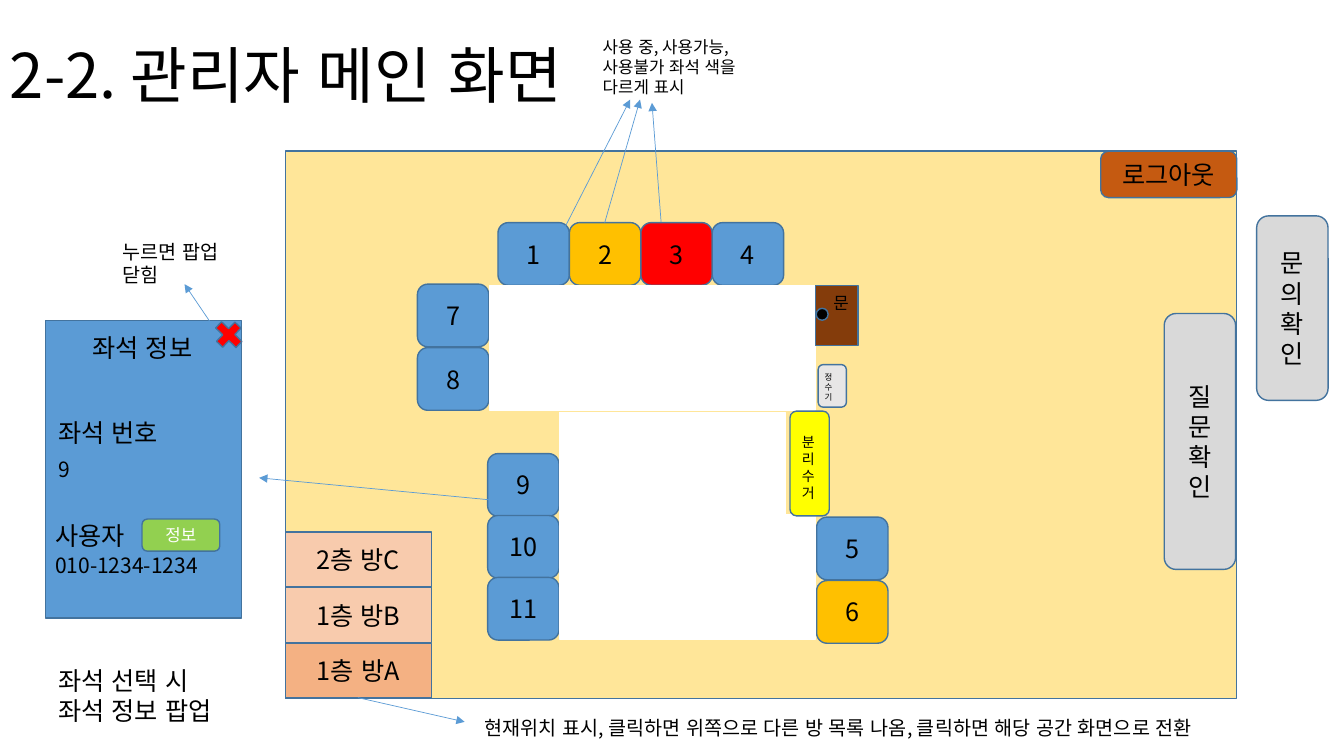
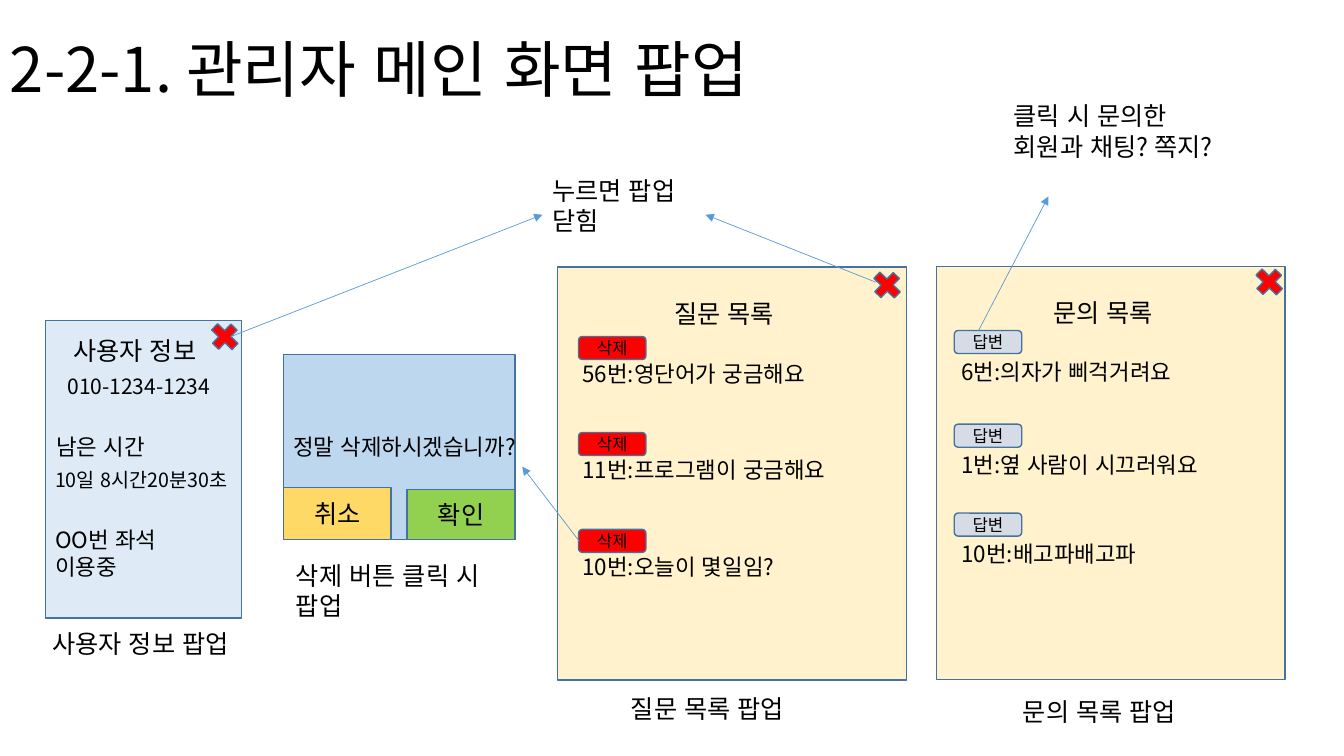
from dataclasses import dataclass

from lxml import etree
from pptx import Presentation
from pptx import util as u
from pptx.dml import color
from pptx.enum import lang, shapes, text
from pptx.oxml import ns

Cm, Pt = u.Cm, u.Pt
KIND = shapes.MSO_SHAPE


@dataclass(frozen=True)
class Theme:
    font: str = "Noto Sans CJK KR"
    # Type sizes
    title: int = 44
    body: int = 18
    item: int = 16
    phone: int = 15
    note: int = 14
    small: int = 12
    mini: int = 10
    tiny: int = 6
    # Colours
    ink: str = "000000"
    white: str = "FFFFFF"
    outline: str = "43739E"
    blue: str = "5B9BD5"
    pale_blue: str = "DEEBF7"
    dialog_blue: str = "BDD7EE"
    amber: str = "FFC000"
    red: str = "FF0000"
    green: str = "92D050"
    gold: str = "FFD966"
    sand: str = "FFE699"
    cream: str = "FFF2CC"
    yellow: str = "FFFF00"
    rust: str = "C55A11"
    brown: str = "843C0B"
    peach: str = "F8CBAD"
    orange: str = "F4B183"
    grey: str = "D9D9D9"
    light_grey: str = "E7E6E6"
    steel: str = "D6DCE5"


T = Theme()
CARD = (1.14, 8.08, 4.95, 7.49)
SEAT = (1.8, 1.58)


def rgb(value):
    return color.RGBColor.from_string(value)


# Element helpers: every box is left, top, width, height in centimetres

def write(frame, words, size, ink=T.ink, align=None):
    frame.word_wrap = True
    frame.text = words
    for paragraph in frame.paragraphs:
        paragraph.alignment = align
        for run in paragraph.runs:
            font = run.font
            font.size = Pt(size)
            font.color.rgb = rgb(ink)
            font.language_id = lang.MSO_LANGUAGE_ID.KOREAN
            font.name = T.font
            east_asian = etree.SubElement(run._r.get_or_add_rPr(), ns.qn("a:ea"))
            east_asian.set("typeface", T.font)


def label(slide, box, words, size=T.body):
    frame = slide.shapes.add_textbox(*map(Cm, box)).text_frame
    frame.auto_size = text.MSO_AUTO_SIZE.SHAPE_TO_FIT_TEXT
    write(frame, words, size)


def block(slide, box, fill, words="", size=T.body, kind=KIND.RECTANGLE,
          ink=T.ink, outline=T.outline):
    panel = slide.shapes.add_shape(kind, *map(Cm, box))
    panel.shadow.inherit = False
    panel.fill.solid()
    panel.fill.fore_color.rgb = rgb(fill)
    panel.line.color.rgb = rgb(outline)
    panel.line.width = Pt(1)
    if words:
        write(panel.text_frame, words, size, ink, text.PP_ALIGN.CENTER)
    return panel


def button(slide, box, fill, words="", size=T.body, ink=T.ink):
    block(slide, box, fill, words, size, KIND.ROUNDED_RECTANGLE, ink)


def close_mark(slide, left, top):
    cross = block(slide, (left, top, 0.97, 0.91), T.red, kind=KIND.MATH_PLUS)
    cross.rotation = 43.9


def arrow(slide, start, end):
    link = slide.shapes.add_connector(
        shapes.MSO_CONNECTOR.STRAIGHT, *map(Cm, start + end))
    link.line.color.rgb = rgb(T.blue)
    link.line.width = Pt(0.5)
    head = etree.SubElement(link.line._get_or_add_ln(), ns.qn("a:tailEnd"))
    head.set("type", "triangle")
    etree.SubElement(link._element.spPr, ns.qn("a:effectLst"))


def titled_slide(deck, words, top):
    slide = deck.slides.add_slide(deck.slide_layouts[6])
    title = slide.shapes.add_textbox(Cm(0), Cm(top), Cm(29.21), Cm(3.68))
    title.text_frame.vertical_anchor = text.MSO_ANCHOR.MIDDLE
    write(title.text_frame, words, T.title)
    title.text_frame.paragraphs[0].line_spacing = 0.9
    return slide


def seat_group(slide, left, top, numbers, step_x=0, step_y=0):
    special = {2: T.amber, 3: T.red, 6: T.amber}
    for i, number in enumerate(numbers):
        box = (left + i * step_x, top + i * step_y, *SEAT)
        button(slide, box, special.get(number, T.blue), str(number))


def list_popup(slide, left, top, heading, action, fill, inset, drop, entries):
    block(slide, (left, top, 8.79, 10.41), T.cream)
    label(slide, (left + 2.69, top + 0.66, 3.4, 1.02), heading)
    for row, entry in entries:
        label(slide, (left + 0.38, row + drop, 7.24, 0.94), entry, T.item)
        button(slide, (left + inset, row, 1.7, 0.58), fill, action, T.small)


# Slide contents

def seat_map(slide):
    block(slide, (7.19, 3.81, 23.98, 13.79), T.sand)
    seat_group(slide, 12.55, 5.61, range(1, 5), step_x=1.8)
    seat_group(slide, 20.58, 13.03, (5, 6), step_y=1.6)
    seat_group(slide, 10.52, 7.16, (7, 8), step_y=1.6)
    seat_group(slide, 12.29, 11.43, (9, 10, 11), step_y=1.56)
    for floor in ((12.34, 7.21, 8.2, 3.12), (14.1, 10.39, 5.69, 2.62),
                  (14.1, 12.98, 6.45, 3.12)):
        block(slide, floor, T.white, outline=T.white)

    # Door, recycling and water
    block(slide, (20.55, 7.19, 1.07, 1.52), T.brown)
    block(slide, (20.57, 7.77, 0.3, 0.3), T.ink, kind=KIND.OVAL)
    label(slide, (20.75, 7.26, 0.89, 0.76), "문", T.small)
    button(slide, (19.91, 10.36, 0.99, 2.64), T.yellow)
    label(slide, (19.96, 10.8, 0.89, 1.96), "분\n리\n수\n거", T.mini)
    button(slide, (20.62, 9.19, 0.71, 1.07), T.light_grey)
    label(slide, (20.65, 9.25, 0.38, 1.02), "정수기", T.tiny)

    # Menu buttons and rooms
    button(slide, (27.74, 3.81, 3.43, 1.17), T.rust, "로그아웃")
    button(slide, (31.67, 5.44, 1.8, 4.65), T.grey, "문\n의\n확\n인")
    button(slide, (29.34, 7.9, 1.8, 6.45), T.grey, "질\n문\n확\n인")
    rooms = (("2층 방C", T.peach), ("1층 방B", T.peach), ("1층 방A", T.orange))
    for i, (room, fill) in enumerate(rooms):
        block(slide, (7.19, 13.41 + 1.4 * i, 3.68, 1.38), fill, room)


def seat_popup(slide):
    block(slide, CARD, T.blue)
    label(slide, (2.08, 8.25, 3.43, 1.02), "좌석 정보")
    label(slide, (1.22, 10.39, 3.43, 1.02), "좌석 번호")
    label(slide, (1.22, 11.38, 4.37, 0.89), "9", T.phone)
    label(slide, (1.14, 12.98, 3.43, 1.02), "사용자")
    label(slide, (1.14, 13.79, 4.37, 0.89), "010-1234-1234", T.phone)
    button(slide, (3.58, 13.08, 1.96, 0.81), T.green, "정보", T.small, T.white)
    close_mark(slide, 5.28, 7.98)


def main_screen(deck):
    slide = titled_slide(deck, "2-2. 관리자 메인 화면", 0.13)
    seat_map(slide)
    seat_popup(slide)

    # Notes and arrows
    label(slide, (14.94, 0.79, 4.29, 1.8),
          "사용 중, 사용가능, 사용불가 좌석 색을 다르게 표시", T.small)
    label(slide, (2.84, 5.92, 2.92, 1.45), "누르면 팝업 닫힘", T.note)
    label(slide, (1.22, 16.64, 5.13, 1.8), "좌석 선택 시\n좌석 정보 팝업")
    label(slide, (11.96, 17.91, 20.57, 0.86),
          "현재위치 표시, 클릭하면 위쪽으로 다른 방 목록 나옴, "
          "클릭하면 해당 공간 화면으로 전환", T.note)
    for start, end in (((14.25, 5.7), (15.88, 2.51)),
                       ((15.24, 5.61), (16.13, 2.51)),
                       ((16.66, 5.59), (16.43, 2.59)),
                       ((12.4, 12.6), (6.53, 12.04)),
                       ((9.02, 17.58), (11.71, 18.19)),
                       ((5.51, 8.43), (4.65, 7.16))):
        arrow(slide, start, end)


def user_popup(slide):
    block(slide, CARD, T.pale_blue)
    label(slide, (1.6, 8.33, 3.94, 1.02), "사용자 정보")
    label(slide, (1.45, 9.3, 4.37, 0.89), "010-1234-1234", T.phone)
    label(slide, (1.17, 10.8, 3.43, 0.94), "남은 시간", T.item)
    label(slide, (1.14, 11.66, 5.28, 0.86), "10일 8시간20분30초", T.note)
    label(slide, (1.14, 13.13, 3.51, 1.63), "OO번 좌석 이용중", T.item)
    close_mark(slide, 5.18, 8.03)


def delete_popup(slide):
    block(slide, (7.14, 8.94, 5.84, 4.65), T.dialog_blue,
          "정말 삭제하시겠습니까?", T.item)
    block(slide, (10.26, 12.34, 2.72, 1.25), T.green, "확인")
    block(slide, (7.14, 12.29, 2.72, 1.3), T.gold, "취소")


def popup_screen(deck):
    slide = titled_slide(deck, "2-2-1. 관리자 메인 화면 팝업", 0)
    user_popup(slide)
    delete_popup(slide)
    list_popup(slide, 14.05, 6.73, "질문 목록", "삭제", T.red, 0.53, 0.48, (
        (8.48, "56번:영단어가 궁금해요"),
        (10.9, "11번:프로그램이 궁금해요"),
        (13.34, "10번:오늘이 몇일임?")))
    list_popup(slide, 23.6, 6.71, "문의 목록", "답변", T.steel, 0.45, 0.56, (
        (8.33, "6번:의자가 삐걱거려요"),
        (10.69, "1번:옆 사람이 시끄러워요"),
        (12.93, "10번:배고파배고파")))
    close_mark(slide, 21.87, 6.73)
    close_mark(slide, 31.5, 6.65)

    # Captions and arrows
    label(slide, (1.07, 15.7, 6.65, 1.02), "사용자 정보 팝업")
    label(slide, (7.21, 14, 5.84, 1.8), "삭제 버튼 클릭 시 팝업")
    label(slide, (15.65, 17.35, 5.56, 1.02), "질문 목록 팝업")
    label(slide, (25.53, 17.42, 5.56, 1.02), "문의 목록 팝업")
    label(slide, (13.67, 4.29, 3.81, 1.8), "누르면 팝업 닫힘")
    label(slide, (25.3, 2.41, 5.31, 2.57), "클릭 시 문의한 회원과 채팅? 쪽지?")
    for start, end in (((14.6, 13.64), (13.16, 11.76)),
                       ((24.66, 8.33), (26.42, 4.95)),
                       ((22.07, 7.11), (17.78, 5.41)),
                       ((5.82, 8.48), (13.67, 5.41))):
        arrow(slide, start, end)


def main():
    deck = Presentation()
    deck.slide_width, deck.slide_height = Cm(33.87), Cm(19.05)
    main_screen(deck)
    popup_screen(deck)
    deck.save("out.pptx")


main()
